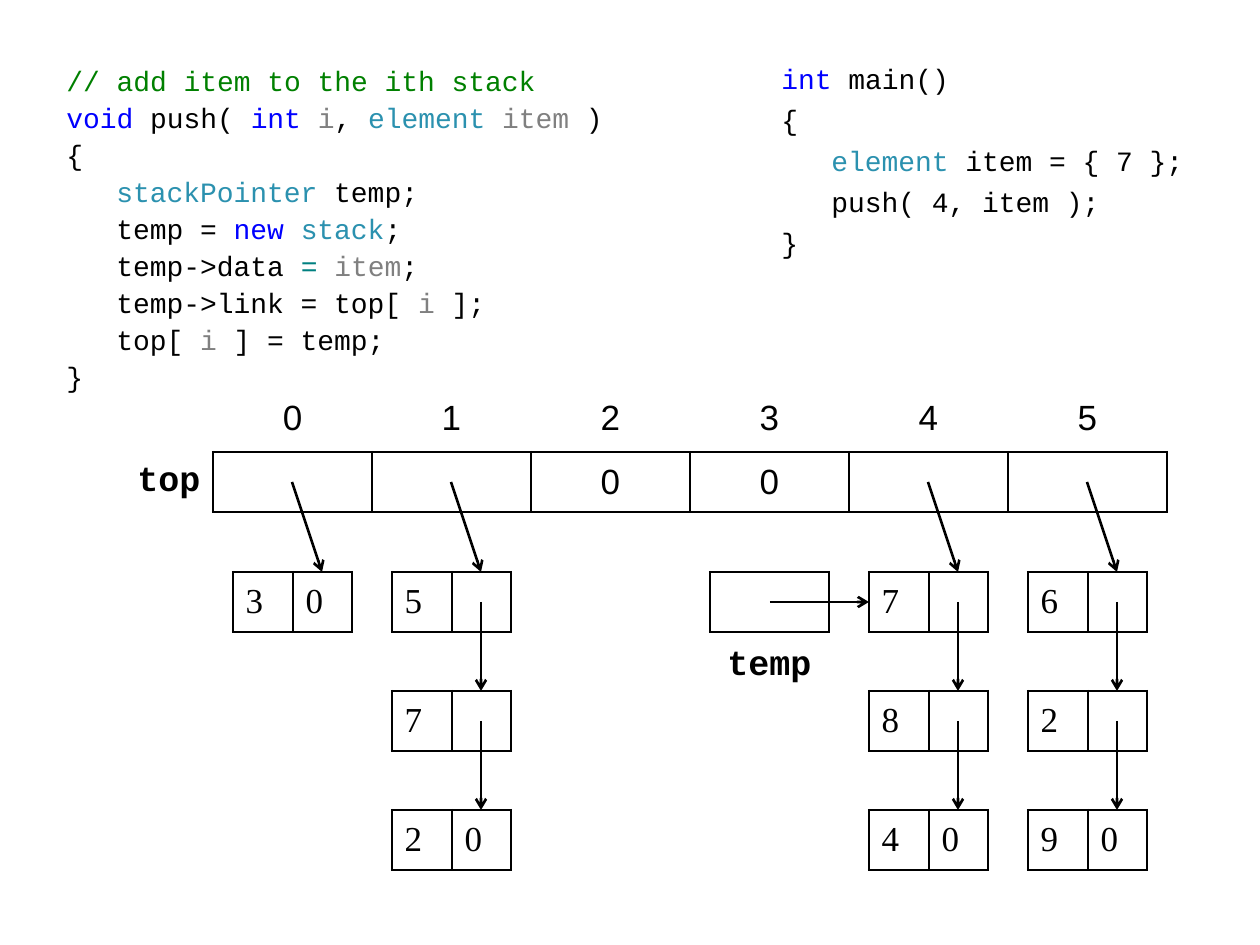
"""Build a slide showing push() on an array of linked stacks."""
from lxml import etree
from pptx import Presentation
from pptx import util as u
from pptx.dml.color import RGBColor
from pptx.enum import shapes, text
from pptx.oxml.ns import qn

BLACK = RGBColor(0x00, 0x00, 0x00)
GREEN = RGBColor(0x00, 0x80, 0x00)
BLUE = RGBColor(0x00, 0x00, 0xFF)
GRAY = RGBColor(0x80, 0x80, 0x80)
TYPE = RGBColor(0x2B, 0x91, 0xAF)
TEAL = RGBColor(0x00, 0x80, 0x80)
MONO, SANS, SERIF = "Courier New", "Arial", "Times New Roman"
NO_STYLE = "{2D5ABB26-0587-4C30-8999-92F81FD0307C}"

PUSH_CODE = [
    (0, [("// add item to the ith stack", GREEN)]),
    (0, [("void", BLUE), (" push( ", BLACK), ("int ", BLUE), ("i", GRAY), (", ", BLACK),
         ("element ", TYPE), ("item", GRAY), (" )", BLACK)]),
    (0, [("{", BLACK)]),
    (1, [("stackPointer", TYPE), (" temp;", BLACK)]),
    (1, [("temp = ", BLACK), ("new ", BLUE), ("stack", TYPE), (";", BLACK)]),
    (1, [("temp->data ", BLACK), ("= ", TEAL), ("item", GRAY), (";", BLACK)]),
    (1, [("temp->link = top[ ", BLACK), ("i", GRAY), (" ];", BLACK)]),
    (1, [("top[ ", BLACK), ("i", GRAY), (" ] = temp;", BLACK)]),
    (0, [("}", BLACK)]),
]
MAIN_CODE = [
    (0, [("int", BLUE), (" main()", BLACK)]),
    (0, [("{", BLACK)]),
    (1, [("element", TYPE), (" item = { 7 };", BLACK)]),
    (1, [("push( 4, item );", BLACK)]),
    (0, [("}", BLACK)]),
]
TOP_ROWS = [["", "0", "1", "2", "3", "4", "5"], ["top", "", "", "0", "0", "", ""]]
# (stack index, level of first node, nodes as (data, link))
CHAINS = [
    (0, 0, [("3", "0")]),
    (1, 0, [("5", ""), ("7", ""), ("2", "0")]),
    (4, 0, [("7", "")]),
    (4, 1, [("8", ""), ("4", "0")]),
    (5, 0, [("6", ""), ("2", ""), ("9", "0")]),
]
TEMP_SLOT = 3

SLOT, CELL, GAP = 159, 60, 59
PITCH = CELL + GAP
TABLE_X, TABLE_Y = 54, 393
NODE_Y = 572
NODE_WIDTHS = [CELL, GAP]
CODE_INDENT = 50


def px(length):
    return u.Emu(round(length * 914400 / 126))


def node_x(slot):
    return TABLE_X + SLOT * (slot + 1) + 20


def add_code(slide, box, lines, space):
    frame = slide.shapes.add_textbox(*map(px, box)).text_frame
    frame.word_wrap = True
    for number, (level, runs) in enumerate(lines):
        paragraph = frame.paragraphs[0] if number == 0 else frame.add_paragraph()
        paragraph.space_before = u.Pt(space)
        paragraph.font.size, paragraph.font.name = u.Pt(16), MONO
        paragraph._p.get_or_add_pPr().set("marL", str(px(CODE_INDENT * level)))
        for words, color in runs:
            run = paragraph.add_run()
            run.text, run.font.color.rgb = words, color


def style_text(paragraph, font, bold=False):
    paragraph.font.size, paragraph.font.name = u.Pt(20), font
    paragraph.font.bold, paragraph.font.color.rgb = bold, BLACK


def style_cell(cell, sides):
    properties = cell._tc.get_or_add_tcPr()
    for side in "LRTB":
        line = etree.SubElement(properties, qn(f"a:ln{side}"), w=str(u.Pt(1.5)))
        if side in sides:
            fill = etree.SubElement(line, qn("a:solidFill"))
            etree.SubElement(fill, qn("a:srgbClr"), val=str(BLACK))
        else:
            etree.SubElement(line, qn("a:noFill"))
    cell.fill.background()
    cell.vertical_anchor = text.MSO_ANCHOR.MIDDLE


def add_grid(slide, left, top, widths, heights, rows, sides_at, font):
    frame = slide.shapes.add_table(len(rows), len(widths), px(left), px(top),
                                   px(sum(widths)), px(sum(heights)))
    table = frame.table
    table.first_row = table.horz_banding = False
    table._tbl.tblPr.find(qn("a:tableStyleId")).text = NO_STYLE
    for column, width in zip(table.columns, widths):
        column.width = px(width)
    for r, (row, height) in enumerate(zip(rows, heights)):
        table.rows[r].height = px(height)
        for c, words in enumerate(row):
            cell = table.cell(r, c)
            cell.text = words
            style_text(cell.text_frame.paragraphs[0], font)
            style_cell(cell, sides_at(r, c))
    return table


def add_arrow(slide, *ends):
    arrow = slide.shapes.add_connector(shapes.MSO_CONNECTOR.STRAIGHT, *map(px, ends))
    arrow.line.color.rgb, arrow.line.width = BLACK, u.Pt(1.5)
    etree.SubElement(arrow.line._get_or_add_ln(), qn("a:tailEnd"), type="arrow")
    etree.SubElement(arrow._element.spPr, qn("a:effectLst"))


def top_sides(r, c):
    if r == 0:
        return "B" if c else ""
    return "LRTB" if c else "R"


def node_sides(r, c):
    return "TB" if r % 2 else "LRTB"


def add_top(slide):
    table = add_grid(slide, TABLE_X, TABLE_Y, [SLOT] * 7, [GAP, CELL], TOP_ROWS, top_sides, SANS)
    for r, row in enumerate(TOP_ROWS):
        for c in range(len(row)):
            table.cell(r, c).text_frame.paragraphs[0].alignment = text.PP_ALIGN.CENTER
    for c in range(len(TOP_ROWS[0])):
        table.cell(0, c).vertical_anchor = text.MSO_ANCHOR.TOP
    label = table.cell(1, 0).text_frame.paragraphs[0]
    label.alignment = text.PP_ALIGN.RIGHT
    style_text(label, MONO, True)


def add_chains(slide):
    for slot, level, nodes in CHAINS:
        rows = [row for node in nodes for row in (node, ("", ""))][:-1]
        heights = [GAP if r % 2 else CELL for r in range(len(rows))]
        add_grid(slide, node_x(slot), NODE_Y + PITCH * level, NODE_WIDTHS, heights,
                 rows, node_sides, SERIF)
    for slot, level, nodes in CHAINS:
        link_x = node_x(slot) + CELL + GAP // 2
        if level == 0:
            add_arrow(slide, link_x - 30, TABLE_Y + GAP + CELL // 2, link_x, NODE_Y)
        for number, (data, link) in enumerate(nodes, level):
            if not link:
                y = NODE_Y + PITCH * number
                add_arrow(slide, link_x, y + CELL // 2, link_x, y + PITCH)


def add_temp(slide):
    x = node_x(TEMP_SLOT)
    add_grid(slide, x, NODE_Y, [PITCH], [CELL], [[""]], node_sides, SERIF)
    add_arrow(slide, x + CELL, NODE_Y + CELL // 2, node_x(TEMP_SLOT + 1), NODE_Y + CELL // 2)
    frame = slide.shapes.add_textbox(*map(px, (x, NODE_Y + CELL, PITCH, CELL))).text_frame
    frame.word_wrap = False
    frame.vertical_anchor = text.MSO_ANCHOR.MIDDLE
    label = frame.paragraphs[0]
    label.text = "temp"
    label.alignment = text.PP_ALIGN.CENTER
    style_text(label, MONO, True)


def main():
    presentation = Presentation()
    presentation.slide_width, presentation.slide_height = px(1260), px(945)
    slide = presentation.slides.add_slide(presentation.slide_layouts[6])
    add_code(slide, (TABLE_X, 57, 576, 338), PUSH_CODE, 2)
    add_code(slide, (769, 55, 436, 218), MAIN_CODE, 4.3)
    add_top(slide)
    add_chains(slide)
    add_temp(slide)
    presentation.save("out.pptx")


if __name__ == "__main__":
    main()
